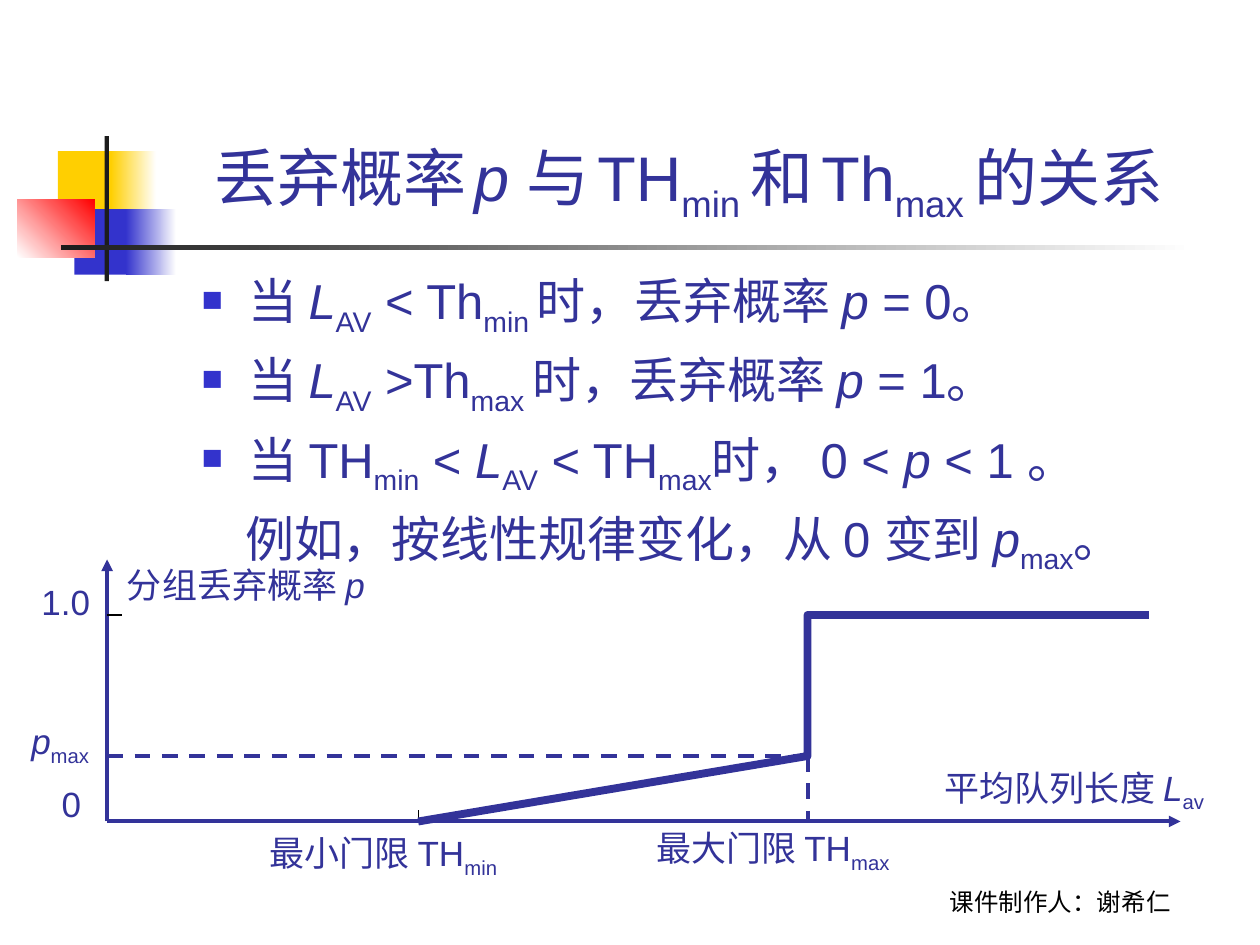
"""Build a slide on how drop probability depends on the queue thresholds."""
from dataclasses import dataclass

from lxml import etree
from pptx import Presentation
from pptx import util as u
from pptx.dml.color import RGBColor
from pptx.enum import dml, shapes, text
from pptx.oxml import ns

Pt = u.Pt


@dataclass(frozen=True)
class Theme:
    ink: str = "333399"
    blue: str = "3333CC"
    yellow: str = "FFCF01"
    red: str = "FF0000"
    dark: str = "1C1C1C"
    white: str = "FFFFFF"
    black: str = "000000"
    font: str = "Arial"
    footer_font: str = "Cabin"
    title: int = 36
    title_gap: int = 20
    body: int = 28
    label: int = 20
    footer: int = 14


T = Theme()
X0, Y0 = 61.2, 469.4
X_MIN, X_MAX, X_END = 239, 461.5, 656.6
Y_PMAX, Y_ONE = 432, 351.4


def rgb(value):
    return RGBColor.from_string(value)


def sub(parent, tag, **attrs):
    return etree.SubElement(parent, ns.qn(tag), attrs)


def add_block(s, x, y, w, h, start, end=None, angle=0):
    sp = s.shapes.add_shape(shapes.MSO_SHAPE.RECTANGLE, Pt(x), Pt(y), Pt(w), Pt(h))
    sp.shadow.inherit = False
    sp.line.fill.background()
    if end is None:
        sp.fill.solid()
        sp.fill.fore_color.rgb = rgb(start)
        return
    sp.fill.gradient()
    sp.fill.gradient_angle = angle
    for stop, color in zip(sp.fill.gradient_stops, (start, end)):
        stop.color.rgb = rgb(color)


def add_line(s, x1, y1, x2, y2, color=T.ink, width=2.25, dashed=False, arrow=False):
    sp = s.shapes.add_connector(shapes.MSO_CONNECTOR.STRAIGHT, Pt(x1), Pt(y1), Pt(x2), Pt(y2))
    sp.line.color.rgb = rgb(color)
    sp.line.width = Pt(width)
    if dashed:
        sp.line.dash_style = dml.MSO_LINE.DASH
    if arrow:
        sub(sp.line._get_or_add_ln(), "a:tailEnd", type="triangle")
    sub(sp._element.spPr, "a:effectLst")


def add_curve(s, points):
    (x, y), *rest = [(Pt(a), Pt(b)) for a, b in points]
    builder = s.shapes.build_freeform(x, y)
    builder.add_line_segments(rest, close=False)
    sp = builder.convert_to_shape()
    sp.shadow.inherit = False
    sp.fill.background()
    sp.line.color.rgb = rgb(T.ink)
    sp.line.width = Pt(4.5)


def write(p, markup, size, color=T.ink, font=T.font):
    """Write runs split by "|": "/" is italic, "_" subscript, "~" a smaller gap."""
    p.font.size, p.font.name = Pt(size), font
    p.font.color.rgb = rgb(color)
    for part in markup.split("|"):
        mark = part[0] if part[0] in "/_~" else ""
        r = p.add_run()
        r.text = part[len(mark):]
        if mark == "/":
            r.font.italic = True
        elif mark == "_":
            r._r.get_or_add_rPr().set("baseline", "-25000")
        elif mark == "~":
            r.font.size = Pt(T.title_gap)


def add_frame(s, x, y, w, h, wrap=True, anchor=text.MSO_ANCHOR.TOP):
    tf = s.shapes.add_textbox(Pt(x), Pt(y), Pt(w), Pt(h)).text_frame
    tf.word_wrap = wrap
    tf.vertical_anchor = anchor
    return tf


def add_centred(s, x, y, w, h, markup, size, **style):
    p = add_frame(s, x, y, w, h, anchor=text.MSO_ANCHOR.BOTTOM).paragraphs[0]
    p.alignment = text.PP_ALIGN.CENTER
    write(p, markup, size, **style)


def add_label(s, x, y, w, h, markup):
    tf = add_frame(s, x, y, w, h, wrap=False)
    tf.auto_size = text.MSO_AUTO_SIZE.SHAPE_TO_FIT_TEXT
    write(tf.paragraphs[0], markup, T.label)


def add_bullet(p):
    pPr = p._p.get_or_add_pPr()
    pPr.set("marL", str(Pt(27)))
    pPr.set("indent", str(-Pt(27)))
    sub(sub(pPr, "a:buClr"), "a:srgbClr", val=T.blue)
    sub(pPr, "a:buSzPct", val="60000")
    sub(pPr, "a:buChar", char="■")


def add_body(s, bullets, example):
    tf = add_frame(s, 108, 151.2, 612, 187.2)
    for i, markup in enumerate([*bullets, example]):
        p = tf.add_paragraph() if i else tf.paragraphs[0]
        if i < len(bullets):
            add_bullet(p)
        else:
            p._p.get_or_add_pPr().set("marL", str(Pt(25)))
        if i:
            p.space_before = Pt(7)
        write(p, markup, T.body)


def add_ornament(s):
    add_block(s, 33.1, 86.4, 34.6, 37.4, T.yellow)
    add_block(s, 63.4, 86.4, 25.9, 37.4, T.yellow, T.white)
    add_block(s, 42.5, 119.5, 33.1, 37.4, T.blue)
    add_block(s, 72, 119.5, 28.8, 37.4, T.blue, T.white)
    add_block(s, 10, 113.8, 44, 33.1, T.white, T.red, angle=45)
    add_block(s, 59.8, 77.8, 2.4, 82.8, T.dark)
    add_block(s, 34.6, 140.2, 648, 2.5, T.dark, T.white)


def add_graph(s):
    add_line(s, X0, Y0, 674.6, Y0, arrow=True)
    add_line(s, X0, Y0, X0, 319.7, arrow=True)
    add_line(s, X_MAX, Y_PMAX, X_MAX, Y0, dashed=True)
    add_line(s, X0, Y_PMAX, X_MAX, Y_PMAX, dashed=True)
    add_line(s, X_MIN, Y0 - 6.5, X_MIN, Y0, T.black, 0.75)
    add_line(s, X0, Y_ONE, X0 + 8.8, Y_ONE, T.black, 0.75)
    add_curve(s, [(X_MIN, Y0), (X_MAX, Y_PMAX), (X_MAX, Y_ONE), (X_END, Y_ONE)])
    for label in (
        (146.9, 471.6, 154.8, 34.6, "最小门限 TH|_min"),
        (367.9, 468.7, 157.7, 34.6, "最大门限 TH|_max"),
        (532.8, 434.2, 172.8, 34.6, "平均队列长度 |/L|_av"),
        (65.5, 318.2, 160.6, 31.7, "分组丢弃概率 |/p"),
        (16.6, 328.3, 44, 31.7, "1.0"),
        (28.1, 443.5, 25.2, 31.7, "0"),
        (10.8, 407.5, 47.5, 34.6, "/p|_max"),
    ):
        add_label(s, *label)


def main():
    prs = Presentation()
    prs.slide_width, prs.slide_height = Pt(720), Pt(540)
    s = prs.slides.add_slide(prs.slide_layouts[6])
    add_ornament(s)
    add_centred(s, 491.8, 491, 228.2, 36, "课件制作人：谢希仁", T.footer,
                color=T.black, font=T.footer_font)
    add_centred(s, 87, 16.6, 613, 115.2,
                "丢弃概率|~ |/p |与|~ |TH|_min |和|~ |Th|_max |的关系", T.title)
    add_graph(s)
    add_body(s, [
        "当 |/L|_AV| < Th|_min |时，丢弃概率 |/p| = 0。",
        "当 |/L|_AV| >Th|_max |时，丢弃概率 |/p| = 1。",
        "当 TH|_min| < |/L|_AV| < TH|_max|时， 0 < |/p |< 1 。",
    ], "例如，按线性规律变化，从 0 变到 |/p|_max|。")
    prs.save("out.pptx")


if __name__ == "__main__":
    main()
